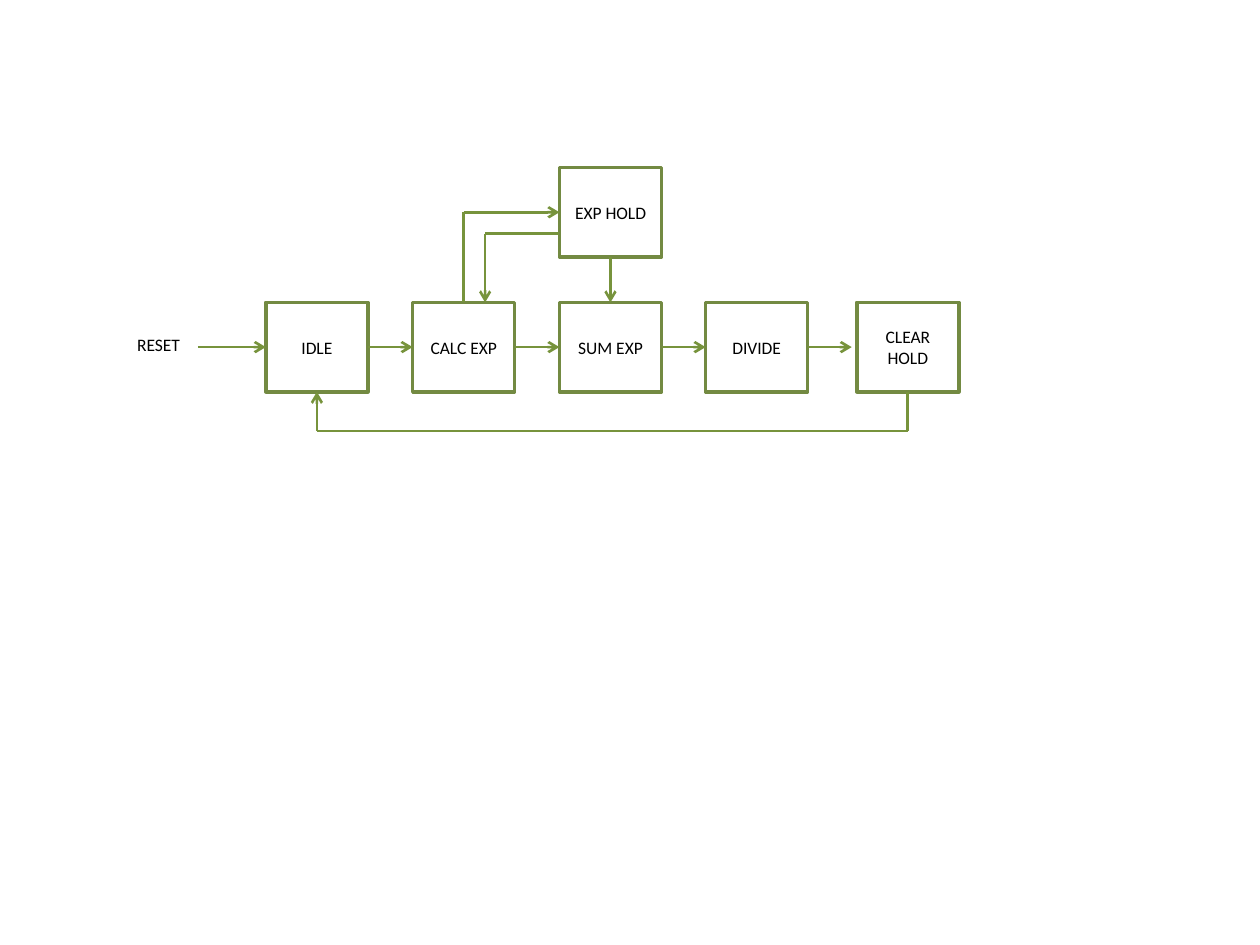
from dataclasses import dataclass

from lxml.etree import SubElement
from pptx import Presentation
from pptx.dml.color import RGBColor
from pptx.enum.shapes import MSO_CONNECTOR, MSO_SHAPE
from pptx.enum.text import MSO_ANCHOR, PP_ALIGN
from pptx.oxml.ns import qn
from pptx.util import Inches, Pt

TOP, LEFT, BOTTOM, RIGHT = range(4)


@dataclass(frozen=True)
class Theme:
    font: str = "Calibri"
    text_size: float = 10
    text: RGBColor = RGBColor(0, 0, 0)
    border: RGBColor = RGBColor(0x73, 0x8A, 0x42)
    arrow: RGBColor = RGBColor(0x77, 0x93, 0x3C)
    border_width: float = 2
    arrow_width: float = 1.5


@dataclass(frozen=True)
class Box:
    left: float
    top: float
    width: float
    height: float

    @property
    def center(self):
        return self.left + self.width / 2

    @property
    def middle(self):
        return self.top + self.height / 2

    @property
    def bottom(self):
        return self.top + self.height

    def lengths(self):
        return [grid(value) for value in (self.left, self.top, self.width, self.height)]


THEME = Theme()
COLUMNS, ROWS = 100, 75
CELL = Inches(0.1)
STATE_WIDTH, STATE_HEIGHT = 8.1, 7.1
STATE_COLUMNS = {"IDLE": 0, "CALC EXP": 11.65, "SUM EXP": 23.3, "DIVIDE": 34.9, "CLEAR HOLD": 46.9}


def grid(cells):
    return round(cells * CELL)


def set_format(target, values):
    for name, value in values.items():
        setattr(target, name, value)


def write_text(shape, text, alignment):
    shape.text_frame.word_wrap = True
    paragraph = shape.text_frame.paragraphs[0]
    paragraph.alignment = alignment
    run = paragraph.add_run()
    run.text = text
    set_format(run.font, {"name": THEME.font, "size": Pt(THEME.text_size)})
    run.font.color.rgb = THEME.text


def add_state(slide, box, text):
    shape = slide.shapes.add_shape(MSO_SHAPE.RECTANGLE, *box.lengths())
    shape.shadow.inherit = False
    shape.fill.background()
    shape.line.color.rgb = THEME.border
    shape.line.width = Pt(THEME.border_width)
    shape.text_frame.vertical_anchor = MSO_ANCHOR.MIDDLE
    write_text(shape, text, PP_ALIGN.CENTER)
    return shape


def add_line(slide, start, end, begin_join=None, end_join=None, arrow=False):
    points = [grid(value) for value in (*start, *end)]
    connector = slide.shapes.add_connector(MSO_CONNECTOR.STRAIGHT, *points)
    connector.line.color.rgb = THEME.arrow
    connector.line.width = Pt(THEME.arrow_width)
    if arrow:
        SubElement(connector.line._get_or_add_ln(), qn("a:tailEnd"), type="arrow")
    SubElement(connector._element.spPr, qn("a:effectLst"))
    if begin_join:
        connector.begin_connect(*begin_join)
    if end_join:
        connector.end_connect(*end_join)


def add_main_row(slide, area):
    boxes = {
        name: Box(area.left + column, area.top, STATE_WIDTH, area.height)
        for name, column in STATE_COLUMNS.items()
    }
    states = {name: add_state(slide, box, name) for name, box in boxes.items()}
    names = list(boxes)
    for name, following in zip(names, names[1:]):
        start = (boxes[name].left + STATE_WIDTH, area.middle)
        last = following == names[-1]
        end = (boxes[following].left - (0.4 if last else 0), area.middle)
        end_join = None if last else (states[following], LEFT)
        add_line(slide, start, end, (states[name], RIGHT), end_join, arrow=True)
    return boxes, states


def add_reset(slide, area, boxes, states):
    label = slide.shapes.add_textbox(*area.lengths())
    write_text(label, "RESET", PP_ALIGN.LEFT)
    idle = boxes["IDLE"]
    add_line(slide, (area.left + area.width, idle.middle), (idle.left, idle.middle),
             end_join=(states["IDLE"], LEFT), arrow=True)


def add_exp_hold(slide, area, boxes, states):
    hold = add_state(slide, area, "EXP HOLD")
    calc, total = boxes["CALC EXP"], boxes["SUM EXP"]
    outward = (calc.center, area.middle)
    add_line(slide, (calc.center, calc.top), outward, (states["CALC EXP"], TOP))
    add_line(slide, outward, (area.left, area.middle), end_join=(hold, LEFT), arrow=True)
    inward = (calc.center + 1.7, area.middle + 1.7)
    add_line(slide, (area.left, inward[1]), inward)
    add_line(slide, inward, (inward[0], calc.top), arrow=True)
    add_line(slide, (area.center, area.bottom), (total.center, total.top),
             (hold, BOTTOM), (states["SUM EXP"], TOP), arrow=True)


def add_return_loop(slide, area, boxes, states):
    right = (area.left + area.width, area.bottom)
    left = (area.left, area.bottom)
    add_line(slide, (right[0], area.top), right, (states["CLEAR HOLD"], BOTTOM))
    add_line(slide, right, left)
    add_line(slide, left, (left[0], area.top), end_join=(states["IDLE"], BOTTOM), arrow=True)


def main():
    presentation = Presentation()
    set_format(presentation, {"slide_width": grid(COLUMNS), "slide_height": grid(ROWS)})
    slide = presentation.slides.add_slide(presentation.slide_layouts[6])
    boxes, states = add_main_row(slide, Box(21.1, 24, 55, STATE_HEIGHT))
    add_reset(slide, Box(9.9, 26, 5.8, 2.7), boxes, states)
    hold_area = Box(boxes["SUM EXP"].left, 13.3, STATE_WIDTH, STATE_HEIGHT)
    add_exp_hold(slide, hold_area, boxes, states)
    idle, clear = boxes["IDLE"], boxes["CLEAR HOLD"]
    loop_area = Box(idle.center, idle.bottom, clear.center - idle.center, 3.1)
    add_return_loop(slide, loop_area, boxes, states)
    presentation.save("out.pptx")


if __name__ == "__main__":
    main()
